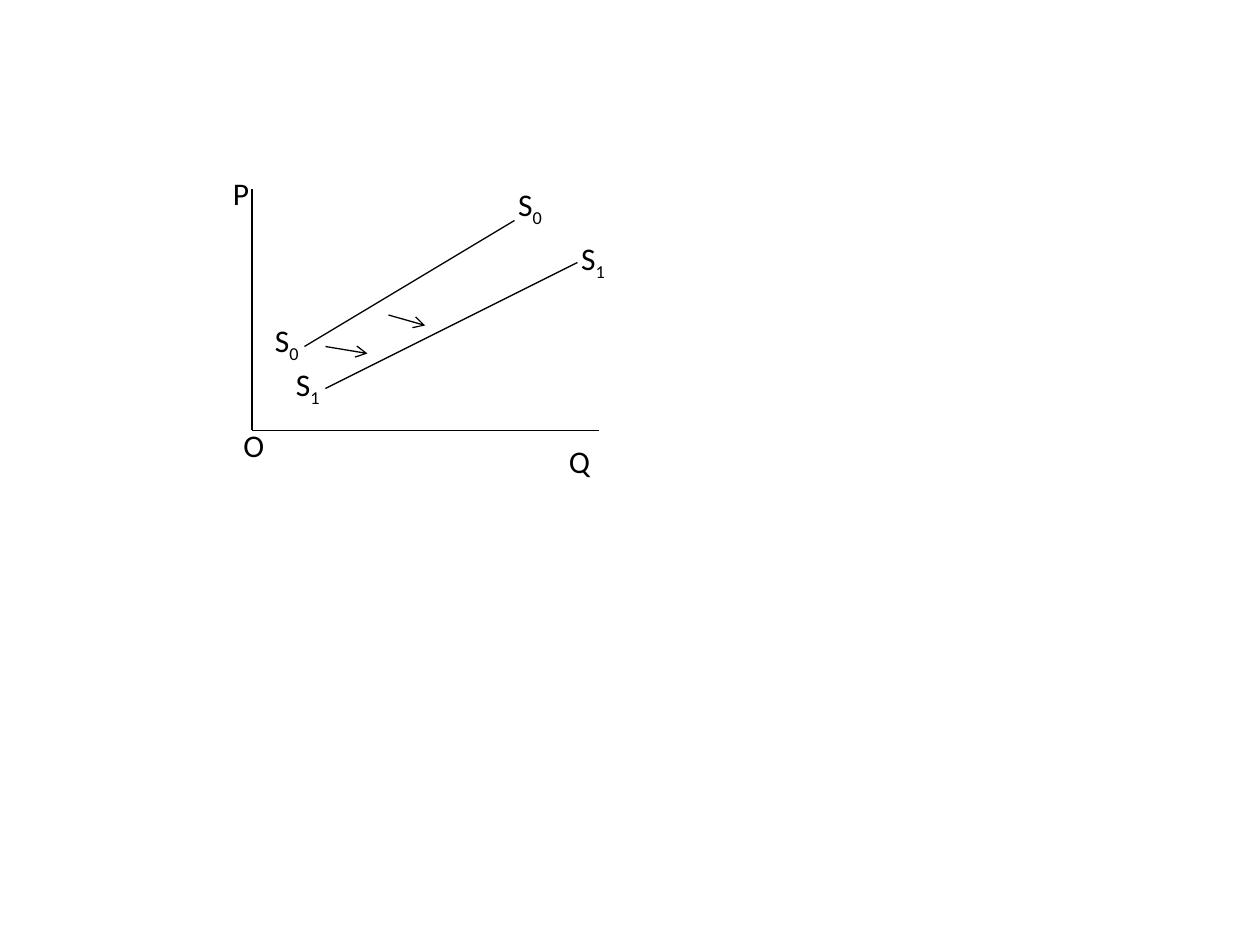
from typing import NamedTuple

from lxml import etree
from pptx import Presentation
from pptx.dml.color import RGBColor
from pptx.enum.shapes import MSO_CONNECTOR
from pptx.enum.text import MSO_AUTO_SIZE
from pptx.oxml.ns import qn
from pptx.slide import Slide
from pptx.util import Pt

STRAIGHT = MSO_CONNECTOR.STRAIGHT
FIT_SHAPE = MSO_AUTO_SIZE.SHAPE_TO_FIT_TEXT
COLORS = {"ink": "000000"}
FONT = "Calibri"
LABEL_HEIGHT = 29


class Line(NamedTuple):
    x1: float
    y1: float
    x2: float
    y2: float
    arrow: bool = False


class Label(NamedTuple):
    text: str
    x: float
    y: float
    width: float
    subscript: str = ""


AXES_AND_CURVES = [
    Line(144, 108, 144, 246),
    Line(144, 246, 342, 246),
    Line(174, 198, 294, 126),
    Line(186, 222, 330, 150),
]
LABELS = [
    Label("S", 150, 180, 29, "0"),
    Label("S", 162, 205, 29, "1"),
    Label("S", 289, 102, 29, "0"),
    Label("S", 325, 133, 29, "1"),
    Label("O", 132, 240, 26.6),
    Label("Q", 318, 249, 26.6),
    Label("P", 126, 96, 23.8),
]
SHIFT_ARROWS = [
    Line(186, 198, 210, 202, arrow=True),
    Line(222, 180, 243, 186, arrow=True),
]


def draw_line(s: Slide, line: Line) -> None:
    sp = s.shapes.add_connector(
        STRAIGHT, Pt(line.x1), Pt(line.y1), Pt(line.x2), Pt(line.y2)
    )
    sp.line.color.rgb = RGBColor.from_string(COLORS["ink"])
    sp.line.width = Pt(0.75)
    if line.arrow:
        ln = sp.line._get_or_add_ln()
        etree.SubElement(ln, qn("a:tailEnd"), type="arrow")
    etree.SubElement(sp._element.spPr, qn("a:effectLst"))


def draw_label(s: Slide, label: Label) -> None:
    sp = s.shapes.add_textbox(
        Pt(label.x), Pt(label.y), Pt(label.width), Pt(LABEL_HEIGHT)
    )
    tf = sp.text_frame
    tf.word_wrap = False
    tf.auto_size = FIT_SHAPE
    p = tf.paragraphs[0]
    p.text = label.text
    if label.subscript:
        r = p.add_run()
        r.text = label.subscript
        r._r.get_or_add_rPr().set("baseline", "-25000")
    for r in p.runs:
        r.font.name = FONT
        r.font.size = Pt(18)
        r.font.color.rgb = RGBColor.from_string(COLORS["ink"])


def main() -> None:
    prs = Presentation()
    prs.slide_width = Pt(720)
    prs.slide_height = Pt(540)
    s = prs.slides.add_slide(prs.slide_layouts[6])
    for line in AXES_AND_CURVES:
        draw_line(s, line)
    for label in LABELS:
        draw_label(s, label)
    for arrow in SHIFT_ARROWS:
        draw_line(s, arrow)
    prs.save("out.pptx")


if __name__ == "__main__":
    main()
